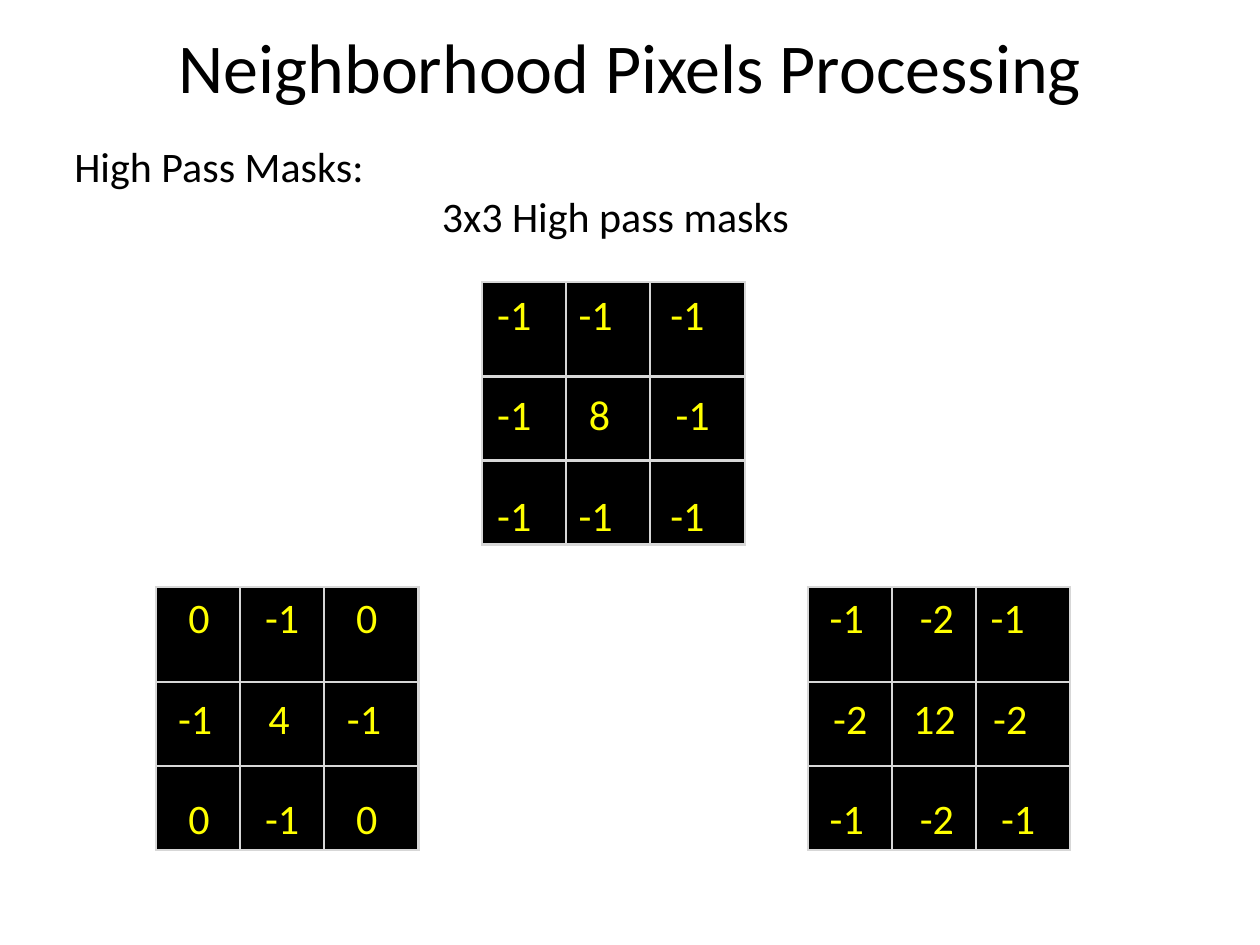
import pptx
import pptx.util
import pptx.dml.color
import pptx.enum.text
import pptx.oxml
import pptx.oxml.ns

Pt = pptx.util.Pt
RGBColor = pptx.dml.color.RGBColor
ALIGN = pptx.enum.text.PP_ALIGN
ANCHOR = pptx.enum.text.MSO_ANCHOR

BLACK = RGBColor(0x00, 0x00, 0x00)
YELLOW = RGBColor(0xFF, 0xFF, 0x00)
GRID = RGBColor(0xD7, 0xD7, 0xD7)
FONT = "Calibri"

# Content
TITLE = "Neighborhood Pixels Processing"
INTRO = [("High Pass Masks:", 0), ("3x3 High pass masks", 210)]  # text, left indent

COLS = [48, 48, 54]
ROWS = [54, 48, 48]
L, C, R = ALIGN.LEFT, ALIGN.CENTER, ALIGN.RIGHT

# Each mask: left, top, top margin of each row, cells (text, alignment, side margin)
MASKS = [
    (275.6, 161.2, (4.6, 8.3, 17.8), [
        [("-1", L, 8.5), ("-1", R, 21.5), ("-1", L, 11.5)],
        [("-1", L, 8.5), ("8", R, 23), ("-1", L, 14.5)],
        [("-1", L, 8.5), ("-1", R, 21.5), ("-1", L, 11.5)]]),
    (89.2, 335.6, (3.5, 7.2, 16.7), [
        [("0", R, 17.5), ("-1", C, 0), ("0", R, 23.5)],
        [("-1", R, 16), ("4", C, 3.5), ("-1", R, 21.5)],
        [("0", R, 17.5), ("-1", C, 0), ("0", R, 23.5)]]),
    (461.6, 335.6, (3.5, 7.2, 16.7), [
        [("-1", R, 16), ("-2", R, 12.5), ("-1", L, 8.5)],
        [("-2", R, 14), ("12", R, 11.5), ("-2", L, 10)],
        [("-1", R, 16), ("-2", R, 12.5), ("-1", L, 14.5)]]),
]


def style(p, size, color, align=L):
    p.alignment = align
    for r in p.runs:
        r.font.name = FONT
        r.font.size = Pt(size)
        r.font.color.rgb = color


def set_frame(tf, anchor):
    tf.word_wrap = True
    tf.vertical_anchor = anchor
    tf.margin_left = tf.margin_right = tf.margin_bottom = 0
    tf.margin_top = Pt(1)


def add_borders(cell):
    tcPr = cell._tc.get_or_add_tcPr()
    for i, side in enumerate(("lnL", "lnR", "lnT", "lnB")):
        ln = pptx.oxml.parse_xml(
            f'<a:{side} {pptx.oxml.ns.nsdecls("a")} w="{Pt(1.5)}"><a:solidFill>'
            f'<a:srgbClr val="{GRID}"/></a:solidFill></a:{side}>')
        tcPr.insert(i, ln)


def add_mask(s, left, top, tops, cells):
    frame = s.shapes.add_table(3, 3, Pt(left), Pt(top), Pt(sum(COLS)), Pt(sum(ROWS)))
    table = frame.table
    table.first_row = table.horz_banding = False
    for i in range(3):
        table.columns[i].width = Pt(COLS[i])
        table.rows[i].height = Pt(ROWS[i])
    for i, row in enumerate(cells):
        for j, (text, align, margin) in enumerate(row):
            cell = table.cell(i, j)
            cell.margin_left = Pt(margin if align == L else 0)
            cell.margin_right = Pt(0 if align == L else margin)
            cell.margin_top = Pt(tops[i])
            cell.margin_bottom = 0
            cell.fill.solid()
            cell.fill.fore_color.rgb = BLACK
            add_borders(cell)
            p = cell.text_frame.paragraphs[0]
            p.text = text
            style(p, 24, YELLOW, align)


prs = pptx.Presentation()
prs.slide_width, prs.slide_height = Pt(720), Pt(540)
s = prs.slides.add_slide(prs.slide_layouts[5])

# Title
sp = s.shapes.title
sp.left, sp.top, sp.width, sp.height = Pt(36), Pt(12.2), Pt(648), Pt(49.7)
tf = sp.text_frame
tf.text = TITLE
set_frame(tf, ANCHOR.MIDDLE)
style(tf.paragraphs[0], 40, BLACK, C)

# Intro lines
sp = s.shapes.add_textbox(Pt(42.5), Pt(79.2), Pt(409.7), Pt(59.8))
tf = sp.text_frame
set_frame(tf, ANCHOR.TOP)
for i, (text, indent) in enumerate(INTRO):
    p = tf.add_paragraph() if i else tf.paragraphs[0]
    p.text = text
    p._p.get_or_add_pPr().set("marL", str(Pt(indent)))
    style(p, 24, BLACK)

# Masks
for mask in MASKS:
    add_mask(s, *mask)

prs.save("out.pptx")
